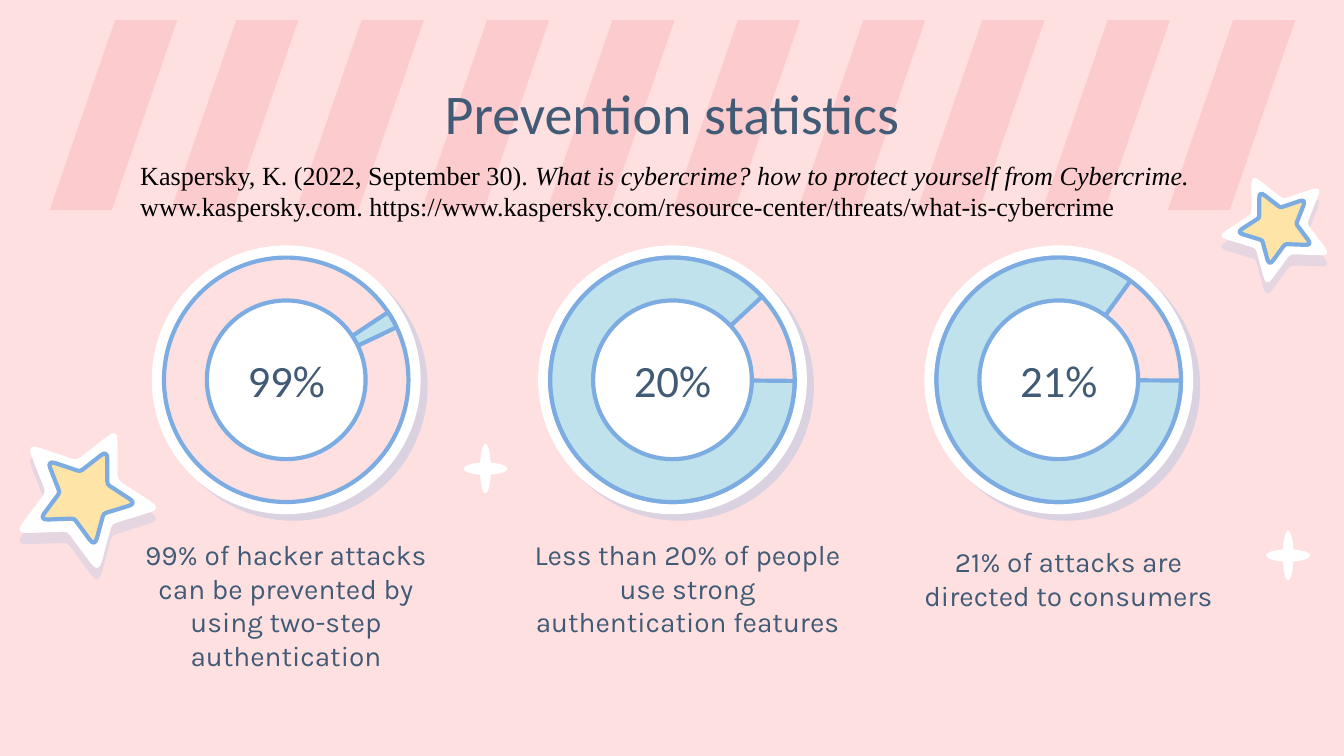
from math import cos, pi, radians, sin

from lxml import etree
from pptx import Presentation
from pptx.dml.color import RGBColor
from pptx.enum.shapes import MSO_SHAPE
from pptx.enum.text import MSO_ANCHOR, MSO_AUTO_SIZE, PP_ALIGN
from pptx.oxml.ns import qn
from pptx.util import Cm, Pt

ELLIPSE, PIE, PARALLELOGRAM = MSO_SHAPE.OVAL, MSO_SHAPE.PIE, MSO_SHAPE.PARALLELOGRAM
TOP, MIDDLE = MSO_ANCHOR.TOP, MSO_ANCHOR.MIDDLE
LEFT, CENTER = PP_ALIGN.LEFT, PP_ALIGN.CENTER
NO_AUTOFIT = MSO_AUTO_SIZE.NONE

PINK, STRIPE, WHITE = "FFE0E1", "FCCBCD", "FFFFFF"
BLUE, PALE_BLUE, YELLOW = "7CACE1", "BFE2EC", "FEE4A7"
SLATE, BLACK = "415A75", "000000"

# percentage, start and end angle of the pie, caption, caption left and top
STATISTICS = [
    ("99%", 326.42, 334.55,
     "99% of hacker attacks can be prevented by using two-step authentication", 2.0, 9.91),
    ("20%", 0.53, 317.13,
     "Less than 20% of people use strong authentication features", 9.59, 9.91),
    ("21%", 0.35, 305.94,
     "21% of attacks are directed to consumers", 16.79, 10.05),
]
CITATION = [
    ("Kaspersky, K. (2022, September 30). ", False),
    ("What is cybercrime? how to protect yourself from Cybercrime.", True),
    (" www.kaspersky.com. https://www.kaspersky.com/resource-center/threats/"
     "what-is-cybercrime", False),
]


def color(value):
    return RGBColor.from_string(value)


def lengths(box):
    return [Cm(value) for value in box]


def inset(box, margin_x, margin_y):
    left, top, width, height = box
    return left + margin_x, top + margin_y, width - 2 * margin_x, height - 2 * margin_y


def paint(shape, fill, line=None):
    shape.shadow.inherit = False
    shape.fill.solid()
    shape.fill.fore_color.rgb = color(fill)
    if line:
        shape.line.color.rgb = color(line)
        shape.line.width = Pt(2.25)
    else:
        shape.line.fill.background()
    return shape


def add_painted(slide, kind, box, fill, line=None):
    return paint(slide.shapes.add_shape(kind, *lengths(box)), fill, line)


def cast_shadow(shape, opacity, distance, angle):
    effects = shape.element.spPr.find(qn("a:effectLst"))
    shadow = etree.SubElement(effects, qn("a:outerShdw"), dist=str(Pt(distance)),
                              dir=str(angle * 60000), algn="bl", rotWithShape="0")
    tint = etree.SubElement(shadow, qn("a:srgbClr"), val=BLUE)
    etree.SubElement(tint, qn("a:alpha"), val=str(opacity * 1000))


def add_outline(slide, points, box, fill, line=None):
    """Stretch a closed outline to fill the box."""
    left, top, width, height = lengths(box)
    columns, rows = zip(*points)
    scale_x = width / (max(columns) - min(columns))
    scale_y = height / (max(rows) - min(rows))
    fitted = [(round(left + (x - min(columns)) * scale_x),
               round(top + (y - min(rows)) * scale_y)) for x, y in points]
    builder = slide.shapes.build_freeform(*fitted[0])
    builder.add_line_segments(fitted[1:], close=True)
    return paint(builder.convert_to_shape(), fill, line)


def between(start, end, share):
    return tuple(a + (b - a) * share for a, b in zip(start, end))


def rounded_star(turn):
    """Return a five-pointed star, turned by some degrees, with rounded corners."""
    corners = []
    for index in range(10):
        radius, angle = (0.49 if index % 2 else 1), index * pi / 5 - pi / 2 + radians(turn)
        corners.append((radius * cos(angle), radius * sin(angle)))
    points = []
    for index, corner in enumerate(corners):
        cut, steps = (0.08, 2) if index % 2 else (0.25, 4)
        start = between(corner, corners[index - 1], cut)
        end = between(corner, corners[(index + 1) % 10], cut)
        for step in range(steps + 1):
            share = step / steps
            points.append(between(between(start, corner, share),
                                  between(corner, end, share), share))
    return points


def sparkle():
    """Return the outline of two slim ellipses that cross."""
    points = []
    for arm in range(4):
        turn = arm * pi / 2
        for step in range(8):
            angle = radians(19 * step - 76)
            x, y = cos(angle), 0.25 * sin(angle)
            points.append((x * cos(turn) - y * sin(turn), x * sin(turn) + y * cos(turn)))
    return points


def add_star(slide, box, rotation, turn):
    outline = rounded_star(turn)
    outer = add_outline(slide, outline, box, WHITE)
    cast_shadow(outer, 19, 6, 90)
    center_box = inset(box, box[2] * 0.17, box[3] * 0.17)
    inner = add_outline(slide, outline, center_box, YELLOW, BLUE)
    outer.rotation = inner.rotation = rotation


def add_stripes(slide, left, count):
    for index in range(count):
        box = (left + index * 2.37, 0.38, 2.41, 3.59)
        stripe = add_painted(slide, PARALLELOGRAM, box, STRIPE)
        stripe.adjustments[0] = 0.513


def format_text(shape, box, runs, font, size, text_color, align, anchor=TOP, margin_y=0.25):
    """Place a text shape and fill it with one paragraph of (text, italic) runs."""
    shape.left, shape.top, shape.width, shape.height = lengths(box)
    frame = shape.text_frame
    frame.word_wrap = True
    frame.auto_size = NO_AUTOFIT
    frame.vertical_anchor = anchor
    frame.margin_left = frame.margin_right = Cm(0.26)
    frame.margin_top = frame.margin_bottom = Cm(margin_y)
    paragraph = frame.paragraphs[0]
    paragraph.alignment = align
    paragraph.space_before = Pt(0)
    properties = paragraph._p.get_or_add_pPr()
    properties.set("marL", "0")
    properties.set("indent", "0")
    etree.SubElement(properties, qn("a:buNone"))
    for text, italic in runs:
        run = paragraph.add_run()
        run.text = text
        run.font.name = font
        run.font.size = Pt(size)
        run.font.bold = False
        run.font.italic = italic
        run.font.color.rgb = color(text_color)


def add_ring(slide, box, percentage, start, end):
    disc = add_painted(slide, ELLIPSE, box, WHITE)
    cast_shadow(disc, 28, 5.2, 43)
    ring = inset(box, 0.23, 0.23)
    add_painted(slide, ELLIPSE, ring, PINK, BLUE)
    pie = add_painted(slide, PIE, ring, PALE_BLUE, BLUE)
    # Angles are stored in 60000ths of a degree, adjustments in 100000ths
    pie.adjustments[0], pie.adjustments[1] = start * 0.6, end * 0.6
    add_painted(slide, ELLIPSE, inset(box, 1.04, 1.04), WHITE, BLUE)
    label_box = inset(box, 0.86, 1.72)
    label = slide.shapes.add_textbox(*lengths(label_box))
    format_text(label, label_box, [(percentage, False)], "Calibri", 24, SLATE, CENTER, MIDDLE)


def build_slide(presentation):
    slide = presentation.slides.add_slide(presentation.slide_layouts[4])
    slide.background.fill.solid()
    slide.background.fill.fore_color.rgb = color(PINK)
    title, *captions, citation = list(slide.placeholders)

    for left, count in ((0.94, 1), (3.23, 6), (17.33, 3)):
        add_stripes(slide, left, count)
    add_star(slide, (0.34, 8.08, 2.62, 2.49), 21.8, 4)
    add_star(slide, (23.08, 3.28, 2.03, 1.93), 338.2, -4)
    for left, top in ((23.93, 10.03), (8.76, 8.39)):
        add_outline(slide, sparkle(), (left, top, 0.83, 0.94), WHITE)

    for index, (percentage, start, end, text, left, top) in enumerate(STATISTICS):
        add_ring(slide, (2.87 + index * 7.3, 4.64, 5.08, 5.08), percentage, start, end)
        format_text(captions[index], (left, top, 6.81, 1.8), [(text, False)],
                    "Karla", 15, SLATE, CENTER)

    format_text(title, (1.98, 1.24, 21.44, 1.6), [("Prevention statistics", False)],
                "Calibri", 30, SLATE, CENTER)
    format_text(citation, (2.39, 2.88, 23.98, 1.45), CITATION,
                "Times New Roman", 14, BLACK, LEFT, margin_y=0.13)
    # Bring the placeholders in front of the decoration
    for shape in (*captions, title, citation):
        slide.shapes.element.append(shape.element)


def main():
    presentation = Presentation()
    presentation.slide_width, presentation.slide_height = Cm(25.4), Cm(14.29)
    build_slide(presentation)
    presentation.save("out.pptx")


if __name__ == "__main__":
    main()
